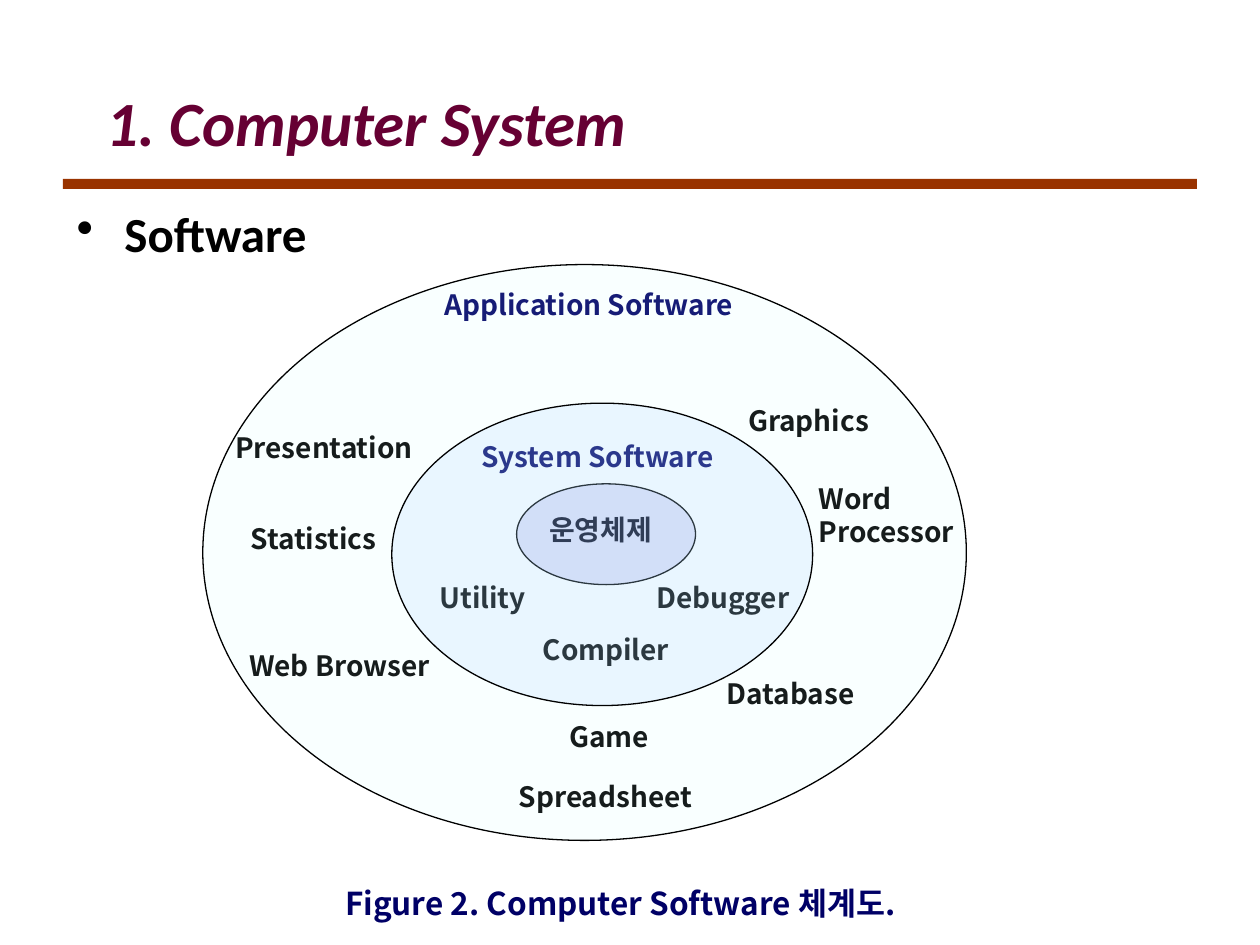
from dataclasses import dataclass
from lxml.etree import SubElement
from pptx import Presentation
from pptx.dml.color import RGBColor
from pptx.enum.shapes import MSO_SHAPE
from pptx.enum.text import MSO_ANCHOR, MSO_AUTO_SIZE
from pptx.oxml.ns import qn
from pptx.shapes.autoshape import Shape
from pptx.slide import Slide
from pptx.util import Inches, Pt


@dataclass(frozen=True)
class Theme:
    latin: str = "Calibri"
    korean: str = "Noto Sans CJK KR"
    black: str = "000000"
    navy: str = "000066"
    wine: str = "660033"
    rust: str = "993300"
    core: str = "3333CC"
    middle: str = "99CCFF"
    outer: str = "CCFFFF"
    title: int = 36
    bullet: int = 28
    caption: int = 18
    label: int = 16
    line: float = 0.75


@dataclass(frozen=True)
class Box:
    left: float
    top: float
    width: float
    height: float = 0.37

    def emu(self) -> list[int]:
        return [Inches(n) for n in (self.left, self.top, self.width, self.height)]


@dataclass(frozen=True)
class Label:
    text: str
    box: Box
    color: str
    wrap: bool = False
    before: int = 0


@dataclass(frozen=True)
class Ring:
    box: Box
    fill: str
    alpha: int


theme = Theme()

LABELS = [
    Label("운영체제", Box(4.26, 4.02, 1.63), theme.black, True, 10),
    Label("System Software", Box(3.72, 3.44, 2.06), theme.navy),
    Label("Application Software", Box(3.43, 2.23, 2.52), theme.navy),
    Label("Compiler", Box(4.21, 4.97, 1.26), theme.black),
    Label("Debugger", Box(5.11, 4.56, 1.29), theme.black),
    Label("Utility", Box(3.39, 4.56, 0.89), theme.black),
    Label("Word\nProcessor", Box(6.4, 3.77, 1.28, 0.64), theme.black),
    Label("Web Browser", Box(1.88, 5.1, 1.66), theme.black),
    Label("Presentation", Box(1.77, 3.37, 1.63), theme.black),
    Label("Database", Box(5.67, 5.32, 1.24), theme.black),
    Label("Game", Box(4.42, 5.66, 0.84), theme.black),
    Label("Spreadsheet", Box(4.02, 6.14, 1.58), theme.black),
    Label("Statistics", Box(1.89, 4.09, 1.21), theme.black),
    Label("Graphics", Box(5.84, 3.15, 1.17), theme.black),
]

RINGS = [
    Ring(Box(4.1, 3.84, 1.42, 0.8), theme.core, 15),
    Ring(Box(1.61, 2.1, 6.06, 4.57), theme.outer, 11),
    Ring(Box(3.11, 3.2, 3.34, 2.4), theme.middle, 16),
]


def write(slide: Slide, text: str, box: Box, size: int, color: str,
          font: str = theme.korean, wrap: bool = True, grow: bool = True,
          italic: bool = False, middle: bool = False) -> Shape:
    shape = slide.shapes.add_textbox(*box.emu())
    frame = shape.text_frame
    frame.word_wrap = wrap
    frame.auto_size = MSO_AUTO_SIZE.SHAPE_TO_FIT_TEXT if grow else MSO_AUTO_SIZE.NONE
    frame.vertical_anchor = MSO_ANCHOR.MIDDLE if middle else MSO_ANCHOR.TOP
    for row, line in enumerate(text.split("\n")):
        para = frame.add_paragraph() if row else frame.paragraphs[0]
        run = para.add_run()
        run.text = line
        run.font.name = font
        run.font.size = Pt(size)
        run.font.bold = True
        run.font.italic = italic
        run.font.color.rgb = RGBColor.from_string(color)
        SubElement(run.font._element, qn("a:ea"), typeface=font)
    return shape


def paint(slide: Slide, kind: MSO_SHAPE, box: Box, color: str) -> Shape:
    shape = slide.shapes.add_shape(kind, *box.emu())
    shape.shadow.inherit = False
    shape.fill.solid()
    shape.fill.fore_color.rgb = RGBColor.from_string(color)
    shape.line.fill.background()
    return shape


def draw_label(slide: Slide, label: Label) -> None:
    shape = write(slide, label.text, label.box, theme.label, label.color, wrap=label.wrap)
    shape.text_frame.paragraphs[0].space_before = Pt(label.before)


def draw_ring(slide: Slide, ring: Ring) -> None:
    shape = paint(slide, MSO_SHAPE.OVAL, ring.box, ring.fill)
    tint = shape._element.spPr.find(qn("a:solidFill"))[0]
    SubElement(tint, qn("a:alpha"), val=str(ring.alpha * 1000))
    shape.line.color.rgb = RGBColor.from_string(theme.black)
    shape.line.width = Pt(theme.line)


def draw_bullet(slide: Slide, text: str, box: Box) -> None:
    shape = write(slide, text, box, theme.bullet, theme.black, theme.latin, grow=False)
    para = shape.text_frame.paragraphs[0]
    para.line_spacing = 0.9
    para.space_before = Pt(7)
    props = para._p.get_or_add_pPr()
    props.set("marL", str(Inches(0.38)))
    props.set("indent", str(Inches(-0.38)))
    SubElement(props, qn("a:buChar"), char="•")


def main() -> None:
    deck = Presentation()
    deck.slide_width, deck.slide_height = Inches(10), Inches(7.5)
    slide = deck.slides.add_slide(deck.slide_layouts[6])
    paint(slide, MSO_SHAPE.RECTANGLE, Box(0.5, 1.42, 9, 0.08), theme.rust)
    write(slide, "1. Computer System", Box(0.75, 0.5, 8.5, 0.92), theme.title,
          theme.wine, theme.latin, grow=False, italic=True, middle=True)
    for label in LABELS:
        draw_label(slide, label)
    for ring in RINGS:
        draw_ring(slide, ring)
    write(slide, "Figure 2. Computer Software 체계도.", Box(2.64, 6.82, 4.49, 0.7),
          theme.caption, theme.navy, middle=True)
    draw_bullet(slide, "Software", Box(0.51, 1.62, 8.66, 0.55))
    deck.save("out.pptx")


if __name__ == "__main__":
    main()
